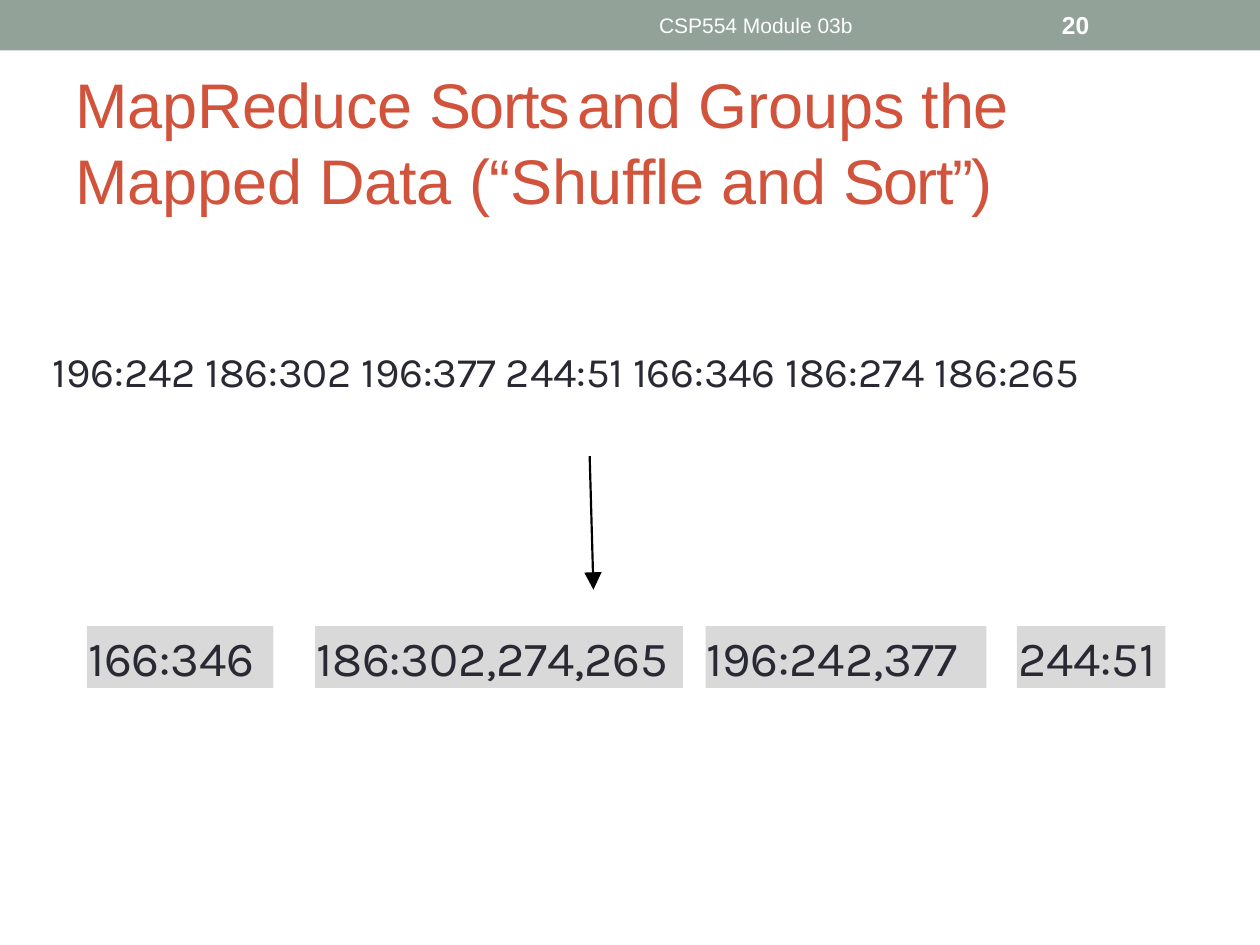
from dataclasses import dataclass

from lxml import etree
from pptx import Presentation
from pptx.dml.color import RGBColor
from pptx.enum.shapes import MSO_CONNECTOR, MSO_SHAPE
from pptx.enum.text import MSO_ANCHOR, MSO_AUTO_SIZE, PP_ALIGN
from pptx.oxml.ns import qn
from pptx.util import Inches, Pt

RECTANGLE = MSO_SHAPE.RECTANGLE
STRAIGHT = MSO_CONNECTOR.STRAIGHT
TOP, MIDDLE = MSO_ANCHOR.TOP, MSO_ANCHOR.MIDDLE
LEFT, CENTER = PP_ALIGN.LEFT, PP_ALIGN.CENTER
NO_AUTOFIT = MSO_AUTO_SIZE.NONE

COLORS = {
    "band": "93A299",
    "title": "D2533C",
    "text": "292934",
    "group": "D9D9D9",
    "white": "FFFFFF",
    "arrow": "000000",
}


@dataclass
class Style:
    font: str
    size: int
    color: str
    bold: bool = False


@dataclass
class Run:
    text: str
    spacing: float = 0


@dataclass
class Group:
    left: float
    width: float
    runs: list[Run]


TITLE_STYLE = Style("Arial", 36, "title")
FOOTER_STYLE = Style("Arial", 12, "white")
NUMBER_STYLE = Style("Arial", 14, "white", bold=True)
PAIRS_STYLE = Style("Karla", 24, "text")
GROUP_STYLE = Style("Karla", 28, "text")

TITLE_RUNS = [
    Run("MapReduce ", -0.2),
    Run("Sorts\t", -1),
    Run("and Groups the Mapped Data (“Shuffle and ", -0.1),
    Run("Sort”)", -1),
]
PAIRS = Run("196:242 186:302 196:377 244:51 166:346 186:274 186:265", -0.1)
GROUPS = [
    Group(0.69, 1.48, [Run("166:346", -0.13)]),
    Group(2.5, 2.92, [Run("186:302,274,265", -0.1)]),
    Group(5.6, 2.23, [Run("196:242,377", -0.1)]),
    Group(8.07, 1.18, [Run("244:51", -0.12)]),
]


def color(name: str) -> RGBColor:
    return RGBColor.from_string(COLORS[name])


def write(shape, runs: list[Run], style: Style, align=LEFT, anchor=MIDDLE):
    frame = shape.text_frame
    frame.word_wrap = True
    frame.auto_size = NO_AUTOFIT
    frame.vertical_anchor = anchor
    paragraph = frame.paragraphs[0]
    paragraph.alignment = align
    for item in runs:
        run = paragraph.add_run()
        run.text = item.text
        run.font.name = style.font
        run.font.size = Pt(style.size)
        run.font.bold = style.bold
        run.font.color.rgb = color(style.color)
        run.font._element.set("spc", str(round(item.spacing * 100)))
    return paragraph


def write_data(shape, runs: list[Run], style: Style) -> None:
    paragraph = write(shape, runs, style, anchor=TOP)
    paragraph.space_before = Pt(1)
    paragraph._p.get_or_add_pPr().set("marL", str(Inches(0.01)))
    frame = shape.text_frame
    frame.margin_left = frame.margin_right = frame.margin_bottom = 0
    frame.margin_top = Inches(0.01)


def add_text_box(slide, left: float, top: float, width: float, height: float):
    return slide.shapes.add_textbox(
        Inches(left), Inches(top), Inches(width), Inches(height))


def add_rectangle(slide, left: float, top: float, width: float, height: float, fill: str):
    shape = slide.shapes.add_shape(
        RECTANGLE, Inches(left), Inches(top), Inches(width), Inches(height))
    shape.shadow.inherit = False
    shape.fill.solid()
    shape.fill.fore_color.rgb = color(fill)
    shape.line.fill.background()
    return shape


def add_title(slide) -> None:
    title = slide.shapes.title
    title.left, title.top = Inches(0.5), Inches(0.58)
    title.width, title.height = Inches(9), Inches(1.08)
    paragraph = write(title, TITLE_RUNS, TITLE_STYLE)
    tabs = etree.SubElement(paragraph._p.get_or_add_pPr(), qn("a:tabLst"))
    etree.SubElement(tabs, qn("a:tab"), pos=str(Inches(3.98)), algn="l")


def add_arrow(slide, start: tuple[float, float], end: tuple[float, float]) -> None:
    points = [Inches(value) for value in (*start, *end)]
    arrow = slide.shapes.add_connector(STRAIGHT, *points)
    arrow.line.color.rgb = color("arrow")
    arrow.line.width = Pt(1.25)
    etree.SubElement(arrow.line._get_or_add_ln(), qn("a:tailEnd"),
                     type="triangle", w="lg", len="lg")
    etree.SubElement(arrow._element.spPr, qn("a:effectLst"))


def main() -> None:
    presentation = Presentation()
    presentation.slide_width = Inches(10)
    presentation.slide_height = Inches(7.5)
    slide = presentation.slides.add_slide(presentation.slide_layouts[5])

    add_rectangle(slide, 0, 0, 10, 0.4, "band")
    add_title(slide)
    write(add_text_box(slide, 3.75, 0.02, 4.5, 0.36),
          [Run("CSP554 Module 03b")], FOOTER_STYLE, align=CENTER)
    write(add_text_box(slide, 8.33, 0.02, 1.17, 0.36), [Run("20")], NUMBER_STYLE)

    write_data(add_text_box(slide, 0.41, 2.73, 9.2, 0.42), [PAIRS], PAIRS_STYLE)
    for group in GROUPS:
        box = add_rectangle(slide, group.left, 4.97, group.width, 0.49, "group")
        write_data(box, group.runs, GROUP_STYLE)
    add_arrow(slide, (4.68, 3.62), (4.71, 4.68))

    presentation.save("out.pptx")


if __name__ == "__main__":
    main()
